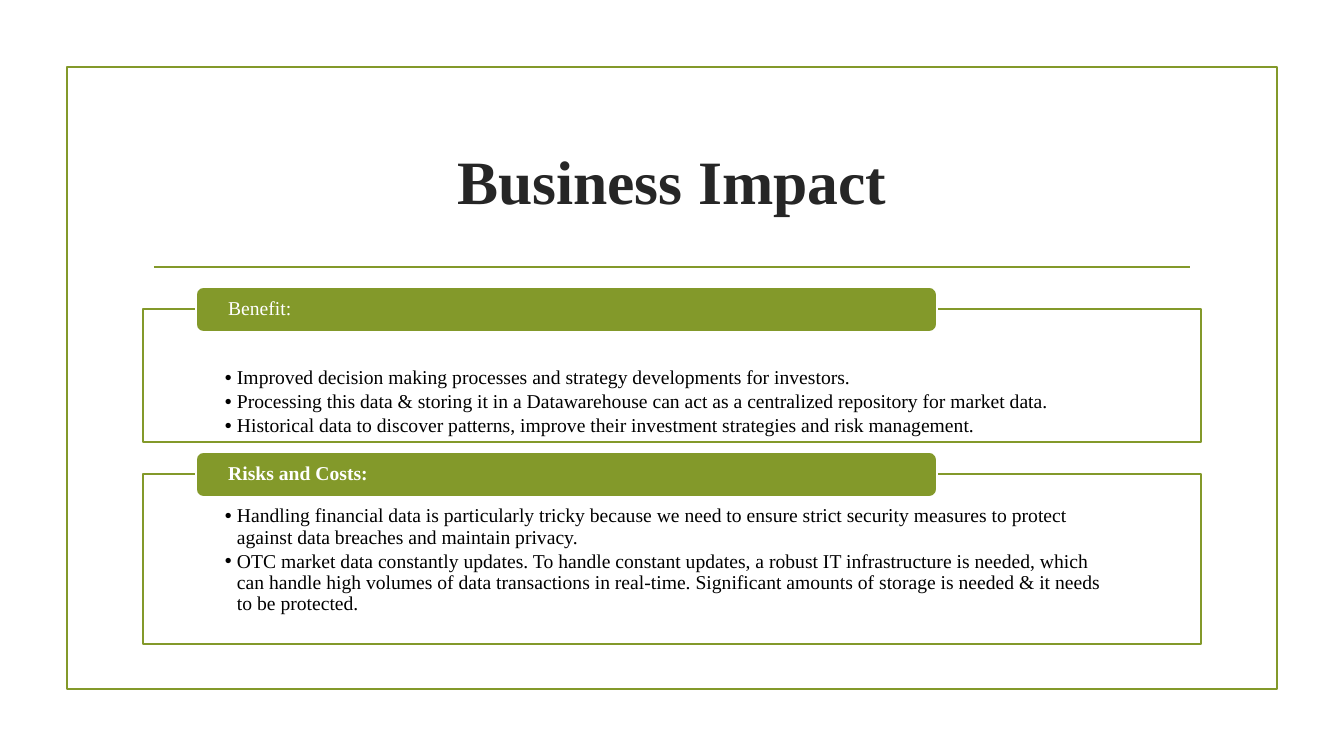
"""Build the Business Impact slide with its benefit and risk panels."""
from dataclasses import dataclass

from lxml import etree
from pptx import Presentation
from pptx import util as u
from pptx.dml.color import RGBColor
from pptx.enum import shapes, text
from pptx.oxml.ns import qn

OLIVE = RGBColor(0x83, 0x99, 0x2A)
WHITE = RGBColor(0xFF, 0xFF, 0xFF)
BLACK = RGBColor(0x00, 0x00, 0x00)
CHARCOAL = RGBColor(0x26, 0x26, 0x26)
FONT = "Times New Roman"
PX_PER_INCH = 100.8
PANEL_LEFT, PANEL_WIDTH = 143, 1058
TAB_LEFT, TAB_WIDTH, TAB_HEIGHT, TAB_RISE = 196, 741, 45, 22
BULLET_INDENT = 12


@dataclass(frozen=True)
class Panel:
    heading: str
    heading_bold: bool
    top: int
    height: int
    text_top: int
    points: tuple[str, ...]


PANELS = (
    Panel("Benefit:", False, 309, 133, 59, (
        "Improved decision making processes and strategy developments for investors.",
        "Processing this data & storing it in a Datawarehouse can act as a "
        "centralized repository for market data.",
        "Historical data to discover patterns, improve their investment "
        "strategies and risk management.",
    )),
    Panel("Risks and Costs:", True, 474, 170, 32, (
        "Handling financial data is particularly tricky because we need to ensure "
        "strict security measures to protect against data breaches and maintain privacy.",
        "OTC market data constantly updates. To handle constant updates, a robust IT "
        "infrastructure is needed, which can handle high volumes of data transactions "
        "in real-time. Significant amounts of storage is needed & it needs to be protected.",
    )),
)


def px(length: int) -> u.Emu:
    """Turn pixels into EMU."""
    return u.Emu(round(length * 914400 / PX_PER_INCH))


def place(shape, left: int, top: int, width: int, height: int) -> None:
    """Set the position and size of a shape."""
    shape.left, shape.top = px(left), px(top)
    shape.width, shape.height = px(width), px(height)


def outline(shape, color: RGBColor) -> None:
    """Give a shape or connector its line."""
    shape.line.color.rgb = color
    shape.line.width = u.Pt(1.25)


def set_frame(frame, anchor, left: int, top: int, right: int, bottom: int) -> None:
    """Set wrapping, anchor and insets of a text frame."""
    frame.word_wrap = True
    frame.auto_size = text.MSO_AUTO_SIZE.NONE
    frame.vertical_anchor = anchor
    frame.margin_left, frame.margin_top = px(left), px(top)
    frame.margin_right, frame.margin_bottom = px(right), px(bottom)


def add_span(para, words: str, size: int, color: RGBColor, bold: bool = False) -> None:
    """Add one formatted run to a paragraph."""
    span = para.add_run()
    span.text = words
    span.font.name, span.font.size = FONT, u.Pt(size)
    span.font.bold, span.font.color.rgb = bold, color


def add_bullet(para) -> None:
    """Give a paragraph a hanging round bullet."""
    props = para._p.get_or_add_pPr()
    props.set("marL", str(px(BULLET_INDENT)))
    props.set("indent", str(-px(BULLET_INDENT)))
    etree.SubElement(props, qn("a:buChar")).set("char", "•")


def fill_title(title) -> None:
    """Write and place the slide title."""
    place(title, PANEL_LEFT, 108, PANEL_WIDTH, 144)
    set_frame(title.text_frame, text.MSO_ANCHOR.MIDDLE, 10, 5, 10, 5)
    para = title.text_frame.paragraphs[0]
    para.alignment = text.PP_ALIGN.CENTER
    add_span(para, "Business Impact", 44, CHARCOAL, True)


def fill_panel(body, panel: Panel) -> None:
    """Turn a body placeholder into an outlined bullet panel."""
    place(body, PANEL_LEFT, panel.top, PANEL_WIDTH, panel.height)
    body.fill.solid()
    body.fill.fore_color.rgb = WHITE
    outline(body, OLIVE)
    frame = body.text_frame
    set_frame(frame, text.MSO_ANCHOR.TOP, 82, panel.text_top, 82, 11)
    for index, point in enumerate(panel.points):
        para = frame.add_paragraph() if index else frame.paragraphs[0]
        add_bullet(para)
        para.line_spacing = 0.9
        para.space_before, para.space_after = u.Pt(0), u.Pt(2)
        add_span(para, point, 14, BLACK)


def add_tab(page, panel: Panel) -> None:
    """Add the heading tab over the top edge of a panel."""
    box = page.shapes.add_shape(
        shapes.MSO_SHAPE.ROUNDED_RECTANGLE, px(TAB_LEFT), px(panel.top - TAB_RISE),
        px(TAB_WIDTH), px(TAB_HEIGHT))
    box.shadow.inherit = False
    box.fill.solid()
    box.fill.fore_color.rgb = OLIVE
    outline(box, WHITE)
    set_frame(box.text_frame, text.MSO_ANCHOR.MIDDLE, 30, 0, 30, 0)
    para = box.text_frame.paragraphs[0]
    para.alignment = text.PP_ALIGN.LEFT
    para.line_spacing = 0.9
    add_span(para, panel.heading, 14, WHITE, panel.heading_bold)


def add_decoration(page) -> None:
    """Add the page border and the rule under the title."""
    border = page.shapes.add_shape(
        shapes.MSO_SHAPE.RECTANGLE, px(67), px(67), px(1210), px(622))
    border.shadow.inherit = False
    border.fill.background()
    outline(border, OLIVE)
    rule = page.shapes.add_connector(
        shapes.MSO_CONNECTOR.STRAIGHT, px(154), px(267), px(1190), px(267))
    outline(rule, OLIVE)
    etree.SubElement(rule._element.spPr, qn("a:effectLst"))


def main() -> None:
    """Build and save the deck."""
    deck = Presentation()
    deck.slide_width, deck.slide_height = px(1344), px(756)
    page = deck.slides.add_slide(deck.slide_layouts.get_by_name("Two Content"))
    add_decoration(page)
    title, *bodies = page.placeholders
    fill_title(title)
    for body, panel in zip(bodies, PANELS):
        fill_panel(body, panel)
        add_tab(page, panel)
    deck.save("out.pptx")


if __name__ == "__main__":
    main()
